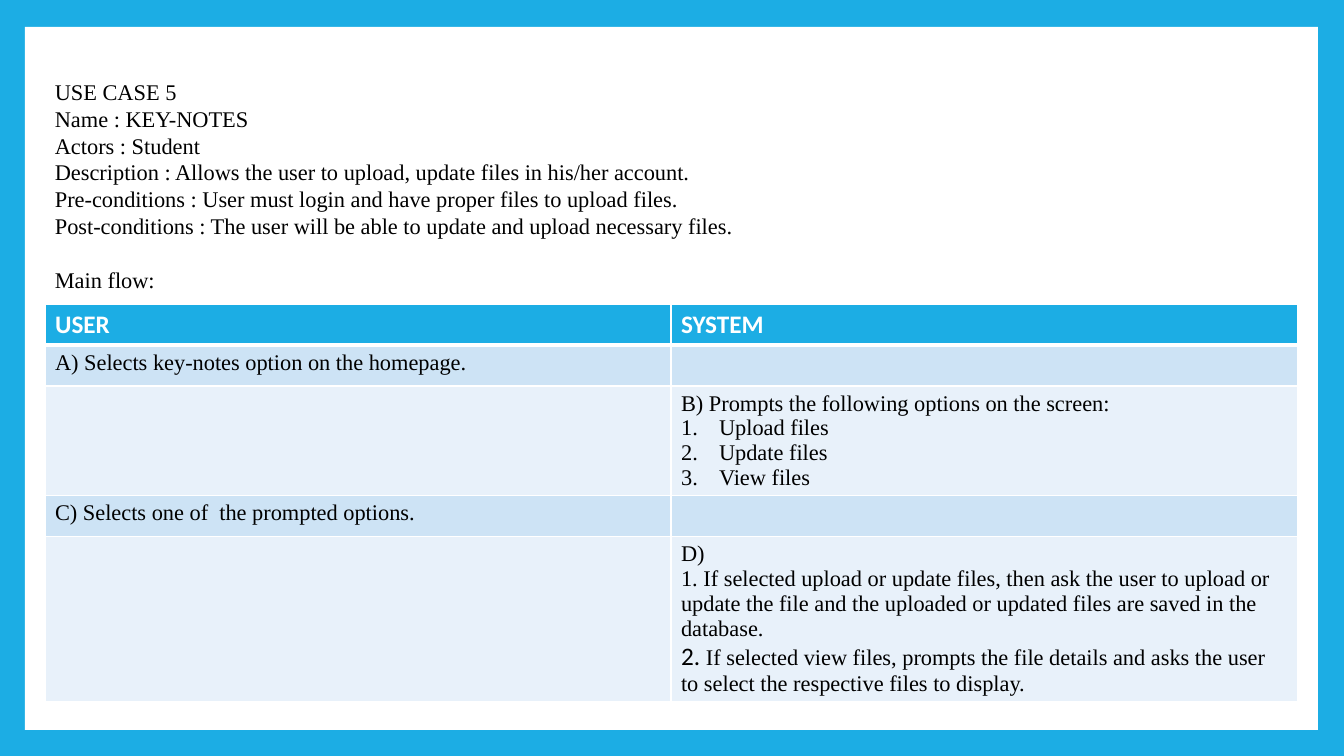
import pptx
import pptx.dml.color
import pptx.enum.shapes
import pptx.oxml
import pptx.oxml.ns
import pptx.util

PX = 9071  # EMU per px
BLUE, WHITE, BLACK = "1CADE4", "FFFFFF", "000000"
BANDS = ["CDE3F5", "E8F1FA"]
SERIF = "Times New Roman"


def rgb(value):
    return pptx.dml.color.RGBColor.from_string(value)


def add_text(p, text, size=16, font=SERIF, color=BLACK, bold=False):
    r = p.add_run()
    r.text = text
    r.font.size = pptx.util.Pt(size)
    r.font.name = font
    r.font.bold = bold
    r.font.color.rgb = rgb(color)


prs = pptx.Presentation()
prs.slide_width, prs.slide_height = 1344 * PX, 756 * PX
s = prs.slides.add_slide(prs.slide_layouts[6])

# Blue frame around a white panel
s.background.fill.solid()
s.background.fill.fore_color.rgb = rgb(BLUE)
sp = s.shapes.add_shape(pptx.enum.shapes.MSO_SHAPE.RECTANGLE,
                        25 * PX, 27 * PX, 1293 * PX, 703 * PX)
sp.shadow.inherit = False
sp.fill.solid()
sp.fill.fore_color.rgb = rgb(WHITE)
sp.line.fill.background()

# Main flow table: each cell is a list of (text, numbered) paragraphs
rows = [
    [[("USER", False)], [("SYSTEM", False)]],
    [[("A) Selects key-notes option on the homepage.", False)], []],
    [[], [("B) Prompts the following options on the screen:", False),
          ("Upload files", True), ("Update files", True), ("View files", True)]],
    [[("C) Selects one of  the prompted options.", False)], []],
    [[], [("D)", False),
          ("1. If selected upload or update files, then ask the user to upload or "
           "update the file and the uploaded or updated files are saved in the "
           "database.", False)]],
]
heights = [41, 41, 109, 41, 165]
widths = [626, 627]
table = s.shapes.add_table(len(rows), len(widths), 45 * PX, 304 * PX,
                           sum(widths) * PX, sum(heights) * PX).table
for column, width in zip(table.columns, widths):
    column.width = width * PX

for i, (row, height) in enumerate(zip(rows, heights)):
    table.rows[i].height = height * PX
    for j, paragraphs in enumerate(row):
        cell = table.cell(i, j)
        cell.margin_right = 11 * PX
        cell.fill.solid()
        cell.fill.fore_color.rgb = rgb(BANDS[(i - 1) % 2] if i else BLUE)

        # White borders, thicker under the header
        tcPr = cell._tc.get_or_add_tcPr()
        for k, side in enumerate("LRTB"):
            thick = (i, side) in [(0, "B"), (1, "T")]
            tcPr.insert(k, pptx.oxml.parse_xml(
                f'<a:ln{side} {pptx.oxml.ns.nsdecls("a")} w="{38100 if thick else 12700}">'
                f'<a:solidFill><a:srgbClr val="{WHITE}"/></a:solidFill></a:ln{side}>'))

        tf = cell.text_frame
        for n, (text, numbered) in enumerate(paragraphs):
            p = tf.add_paragraph() if n else tf.paragraphs[0]
            if numbered:
                pPr = p._p.get_or_add_pPr()
                pPr.set("marL", str(38 * PX))
                pPr.set("indent", str(-38 * PX))
                pPr.append(pptx.oxml.parse_xml(
                    f'<a:buAutoNum {pptx.oxml.ns.nsdecls("a")} type="arabicPeriod"/>'))
            if i == 0:
                add_text(p, text, size=18, font="Calibri", color=WHITE, bold=True)
            else:
                add_text(p, text)

# Last step has a larger number in another font
p = table.cell(4, 1).text_frame.add_paragraph()
add_text(p, "2. ", size=18, font="Calibri")
add_text(p, "If selected view files, prompts the file details and asks the user "
            "to select the respective files to display.")

# Use case details
details = [
    "USE CASE 5",
    "Name : KEY-NOTES",
    "Actors : Student",
    "Description : Allows the user to upload, update files in his/her account.",
    "Pre-conditions : User must login and have proper files to upload files.",
    "Post-conditions : The user will be able to update and upload necessary files.",
    "Main flow:",
]
tf = s.shapes.add_textbox(45 * PX, 73 * PX, 872 * PX, 234 * PX).text_frame
tf.word_wrap = True
for n, text in enumerate(details):
    p = tf.add_paragraph() if n else tf.paragraphs[0]
    add_text(p, text)
p.space_before = pptx.util.Pt(19)

prs.save("out.pptx")
